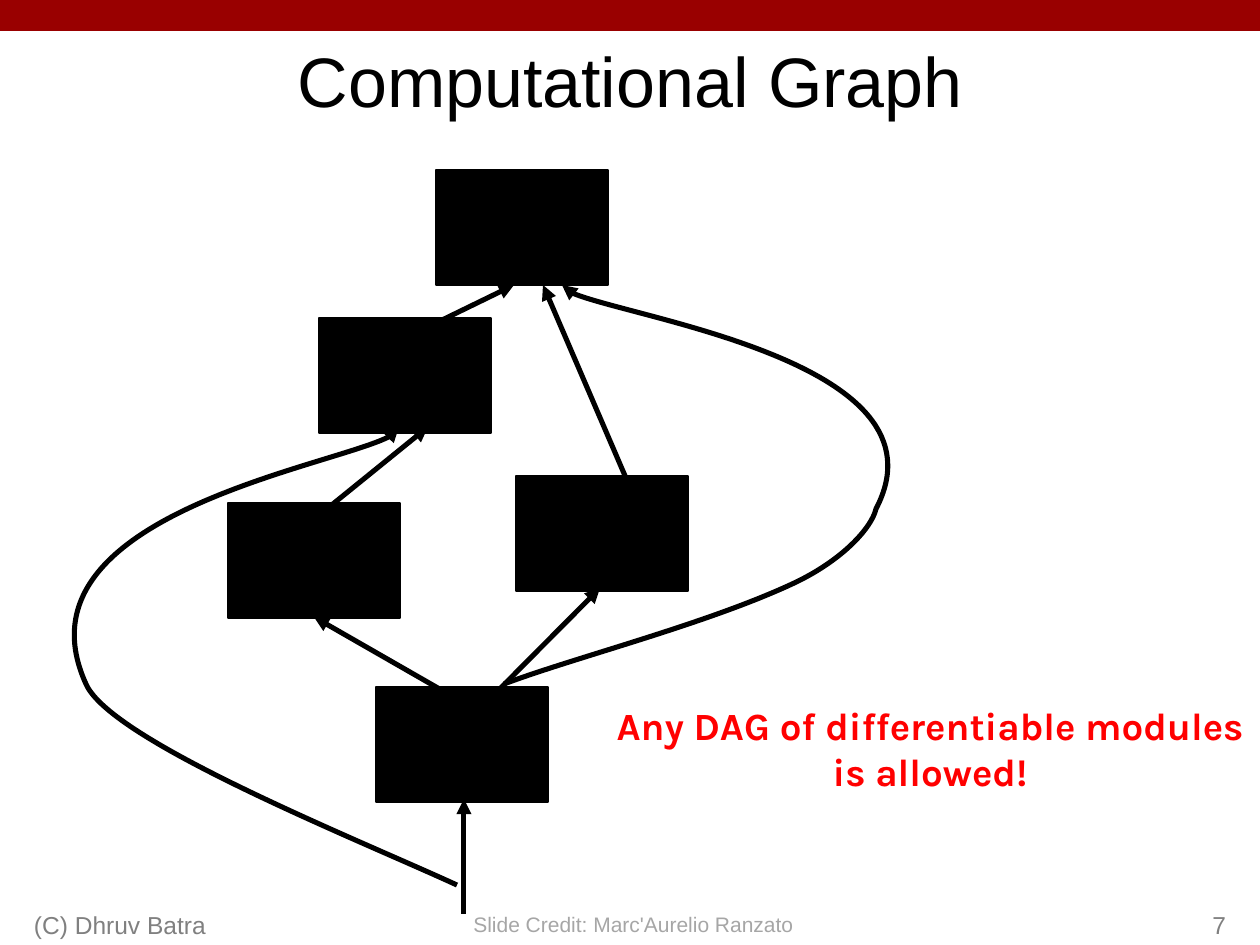
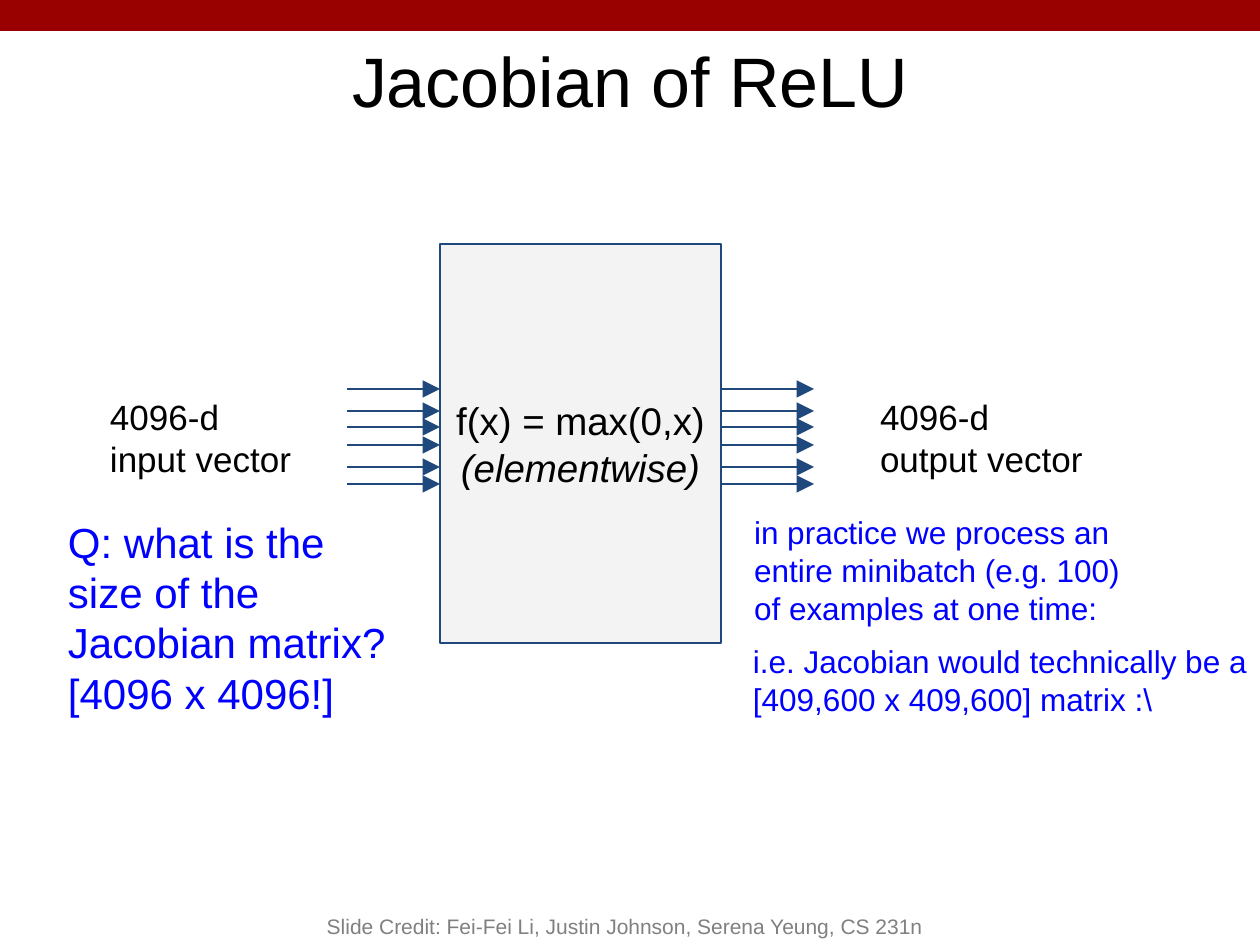
from lxml.etree import SubElement
from pptx import Presentation
from pptx.dml.color import RGBColor
from pptx.enum.shapes import MSO_CONNECTOR as Link, MSO_SHAPE as Kind
from pptx.enum.text import MSO_ANCHOR as Anchor, PP_ALIGN as Align
from pptx.oxml.ns import qn
from pptx.util import Emu, Pt

# Shared look: lengths in px, 126 to the inch
SCALE = 914400 / 126
WIDE, HIGH = 1260, 945
FONT = "Arial"
BLACK, NAVY, BLUE, RED = "000000", "1F497D", "0000FF", "FF0000"
GREY, PALE, MAROON, LIGHT = "808080", "A6A6A6", "990000", "F3F3F3"
LEFT, MID, RIGHT = Align.LEFT, Align.CENTER, Align.RIGHT
INSET = (13, 13, 13, 13)
TIGHT = (13, 6, 13, 6)

# Slide 1: modules, links between them and skip links
TITLE_1 = ("Computational Graph", (95, 31, 1070, 95))
MODULE = (172, 115)
MODULES = [(228, 503), (516, 476), (376, 687), (319, 318), (436, 170)]
LINKS = [
    ((464, 914), (464, 799)),
    ((464, 703), (314, 617)),
    ((629, 485), (543, 285)),
    ((399, 341), (514, 285)),
    ((457, 732), (600, 588)),
    ((286, 542), (428, 427)),
]
SKIPS = [
    [(457, 885), (357, 839), (111, 741), (86, 684),
     (9, 515), (407, 454), (399, 427)],
    [(504, 684), (573, 658), (703, 625), (790, 585), (843, 561),
     (872, 527), (876, 509), (953, 362), (556, 307), (562, 285)],
]
CLAIM = "Any DAG of differentiable modules is allowed!"
CREDIT_1 = "Slide Credit: Marc'Aurelio Ranzato"
OWNER, NUMBER = "(C) Dhruv Batra", "7"

# Slide 2: one block with arrows in and out
TITLE_2 = ("Jacobian of ReLU", (43, 31, 1174, 106))
BLOCK = (440, 244, 281, 399)
FORMULA = ["f(x) = max(0,x)", "(elementwise)"]
ROWS = [389, 411, 427, 445, 467, 484]
REACH = 93
NOTES = [
    (["i.e. Jacobian would technically be a", "[409,600 x 409,600] matrix :\\"],
     (740, 629, 520, 101), 18, BLUE),
    (["4096-d", "input vector"], (97, 383, 335, 64), 20, BLACK),
    (["4096-d", "output vector"], (867, 383, 260, 64), 20, BLACK),
    (["Q: what is the size of the Jacobian matrix?", "[4096 x 4096!]"],
     (55, 503, 353, 159), 24, BLUE),
    (["in practice we process an entire minibatch (e.g. 100) "
      "of examples at one time:"], (741, 500, 410, 89), 18, BLUE),
]
CREDIT_2 = "Slide Credit: Fei-Fei Li, Justin Johnson, Serena Yeung, CS 231n"


def px(n):
    return Emu(round(n * SCALE))


def tint(code):
    return RGBColor.from_string(code)


def place(box):
    return [px(n) for n in box]


# Text
def write(shape, lines, size, color, align=LEFT, anchor=Anchor.TOP,
          inset=TIGHT, font=FONT, bold=False, wrap=True, slant=()):
    frame = shape.text_frame
    frame.word_wrap = wrap
    frame.vertical_anchor = anchor
    (frame.margin_left, frame.margin_top,
     frame.margin_right, frame.margin_bottom) = place(inset)
    for i, line in enumerate(lines):
        para = frame.add_paragraph() if i else frame.paragraphs[0]
        para.alignment = align
        run = para.add_run()
        run.text = line
        face = run.font
        face.name, face.size, face.bold = font, Pt(size), bold
        face.italic = line in slant
        face.color.rgb = tint(color)


def label(slide, lines, box, size, color, **style):
    write(slide.shapes.add_textbox(*place(box)), lines, size, color, **style)


def footer(slide, text, box, size=14, align=LEFT):
    label(slide, [text], box, size, GREY, align=align, anchor=Anchor.BOTTOM)


def start(deck, title):
    slide = deck.slides.add_slide(deck.slide_layouts[5])
    text, box = title
    head = slide.shapes.title
    head.left, head.top, head.width, head.height = place(box)
    write(head, [text], 40, BLACK, MID)
    return slide


# Shapes and lines
def block(slide, box, fill, edge=None):
    shape = slide.shapes.add_shape(Kind.RECTANGLE, *place(box))
    shape.shadow.inherit = False
    shape.fill.solid()
    shape.fill.fore_color.rgb = tint(fill)
    if edge:
        shape.line.color.rgb = tint(edge)
        shape.line.width = Pt(0.75)
    else:
        shape.line.fill.background()
    return shape


def point(shape, color, width, size):
    line = shape.line
    line.color.rgb = tint(color)
    line.width = Pt(width)
    ln = shape.element.spPr.find(qn("a:ln"))
    SubElement(ln, qn("a:tailEnd"), type="triangle", w=size, len=size)


def arrow(slide, tail, tip, color, width, size="med"):
    shape = slide.shapes.add_connector(Link.STRAIGHT, *place(tail + tip))
    point(shape, color, width, size)
    SubElement(shape.element.spPr, qn("a:effectLst"))


def curve(slide, dots):
    pen = slide.shapes.build_freeform(*dots[0], scale=SCALE)
    pen.add_line_segments(dots[1:], close=False)
    shape = pen.convert_to_shape()
    shape.shadow.inherit = False
    shape.fill.background()
    point(shape, BLACK, 2.89, "med")
    # Join each three straight steps into one Bezier step
    route = next(shape.element.iter(qn("a:path")))
    route.set("fill", "none")
    steps = route.findall(qn("a:lnTo"))
    for i in range(0, len(steps), 3):
        bend = SubElement(route, qn("a:cubicBezTo"))
        for step in steps[i:i + 3]:
            bend.append(step[0])
            route.remove(step)


# Slides
def graph(deck):
    slide = start(deck, TITLE_1)
    for spot in MODULES:
        block(slide, spot + MODULE, BLACK, BLACK)
    for tail, tip in LINKS:
        arrow(slide, tail, tip, BLACK, 2.89)
    for dots in SKIPS:
        curve(slide, dots)
    label(slide, [CLAIM], (600, 693, 660, 108), 22, RED, align=MID,
          inset=(11, 9, 11, 5), font="Karla", bold=True)
    label(slide, [CREDIT_1], (459, 906, 349, 38), 12, PALE,
          align=MID, wrap=False)
    footer(slide, OWNER, (21, 882, 399, 63))
    footer(slide, NUMBER, (977, 882, 262, 63), align=RIGHT)
    return slide


def relu(deck):
    slide = start(deck, TITLE_2)
    box = block(slide, BLOCK, LIGHT, NAVY)
    write(box, FORMULA, 22, BLACK, MID, Anchor.MIDDLE, INSET,
          slant=FORMULA[1:])
    left, _, width, _ = BLOCK
    for x in (left - REACH, left + width):
        for y in ROWS:
            arrow(slide, (x, y), (x + REACH, y), NAVY, 0.75, "lg")
    for lines, spot, size, color in NOTES:
        label(slide, lines, spot, size, color, inset=INSET)
    footer(slide, CREDIT_2, (252, 882, 746, 63), 12, MID)


def main():
    deck = Presentation()
    deck.slide_width, deck.slide_height = px(WIDE), px(HIGH)
    first = graph(deck)
    relu(deck)
    # The top band belongs to the master, behind everything
    band = block(first, (0, 0, WIDE, 31), MAROON)
    deck.slide_master.element.cSld.spTree.insert(2, band.element)
    deck.save("out.pptx")


if __name__ == "__main__":
    main()
